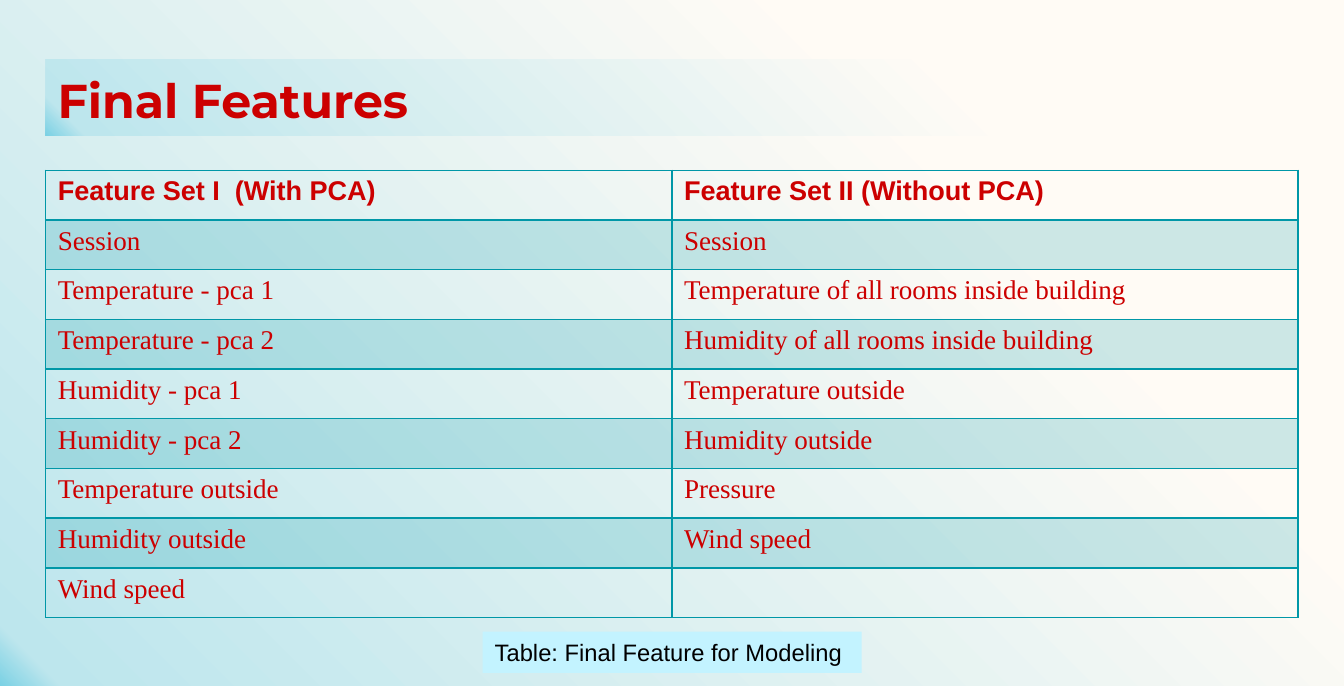
import copy
from dataclasses import dataclass

import pptx
import pptx.dml.color
import pptx.dml.fill
import pptx.enum.shapes
import pptx.enum.text
import pptx.oxml
import pptx.oxml.ns
import pptx.util
from lxml import etree

WIDTH, HEIGHT = pptx.util.Inches(11.02), pptx.util.Pt(405)
COLUMN, ROW = WIDTH / 58, HEIGHT / 56

COLORS = {
    "cream": "FFFBF5",
    "pale": "BDE6ED",
    "sky": "7BD1E4",
    "red": "CC0000",
    "teal": "0097A7",
    "caption": "C3F3FF",
    "black": "000000",
}
GRADIENT = ((0.27, "cream"), (0.97, "pale"), (1.0, "sky"))
BAND_OPACITY = 20

FEATURES = (
    ("Feature Set I  (With PCA)", "Feature Set II (Without PCA)"),
    ("Session", "Session"),
    ("Temperature - pca 1", "Temperature of all rooms inside building"),
    ("Temperature - pca 2", "Humidity of all rooms inside building"),
    ("Humidity - pca 1", "Temperature outside"),
    ("Humidity - pca 2", "Humidity outside"),
    ("Temperature outside", "Pressure"),
    ("Humidity outside", "Wind speed"),
    ("Wind speed", ""),
)


@dataclass(frozen=True)
class Area:
    """A place on the slide, in grid columns and rows."""
    left: float
    top: float
    across: float
    down: float

    def box(self) -> tuple[int, int, int, int]:
        return (round(self.left * COLUMN), round(self.top * ROW),
                round(self.across * COLUMN), round(self.down * ROW))


@dataclass(frozen=True)
class Lettering:
    name: str
    size: int
    color: str
    bold: bool = False


TITLE = Lettering("Montserrat", 28, "red", True)
HEADING = Lettering("Arial", 16, "red", True)
FEATURE = Lettering("Times New Roman", 16, "red")
CAPTION = Lettering("Arial", 14, "black")


def rgb(color: str) -> pptx.dml.color.RGBColor:
    return pptx.dml.color.RGBColor.from_string(COLORS[color])


def write(frame, words: str, lettering: Lettering):
    paragraph = frame.paragraphs[0]
    run = paragraph.add_run()
    run.text = words
    formats = {"name": lettering.name, "size": pptx.util.Pt(lettering.size),
               "bold": lettering.bold}
    for attribute, value in formats.items():
        setattr(run.font, attribute, value)
    run.font.color.rgb = rgb(lettering.color)
    return paragraph


def paint_gradient(fill: pptx.dml.fill.FillFormat, owner) -> None:
    """Fill from cream at the top right to sky at the bottom left."""
    fill.gradient()
    fill.gradient_angle = 225
    stops = owner.find(".//" + pptx.oxml.ns.qn("a:gsLst"))
    stops.append(copy.deepcopy(stops[-1]))
    for stop, (position, color) in zip(fill.gradient_stops, GRADIENT):
        stop.position = position
        stop.color.rgb = rgb(color)


def draw_title(slide, area: Area) -> None:
    banner = slide.shapes.add_shape(
        pptx.enum.shapes.MSO_SHAPE.RECTANGLE, *area.box())
    banner.shadow.inherit = False
    banner.line.fill.background()
    paint_gradient(banner.fill, banner.element)
    frame = banner.text_frame
    for side in ("left", "top", "right", "bottom"):
        setattr(frame, f"margin_{side}", pptx.util.Inches(0.1))
    frame.vertical_anchor = pptx.enum.text.MSO_ANCHOR.TOP
    frame.word_wrap = True
    paragraph = write(frame, "Final Features", TITLE)
    paragraph.alignment = pptx.enum.text.PP_ALIGN.LEFT


def add_borders(cell) -> None:
    properties = cell._tc.get_or_add_tcPr()
    for index, edge in enumerate(("lnL", "lnR", "lnT", "lnB")):
        properties.insert(index, pptx.oxml.parse_xml(
            f'<a:{edge} {pptx.oxml.ns.nsdecls("a")} w="{pptx.util.Pt(1)}">'
            f'<a:solidFill><a:srgbClr val="{COLORS["teal"]}"/></a:solidFill>'
            f'</a:{edge}>'))


def shade(cell, banded: bool) -> None:
    if not banded:
        cell.fill.background()
        return
    cell.fill.solid()
    cell.fill.fore_color.rgb = rgb("teal")
    qn = pptx.oxml.ns.qn
    tint = cell._tc.tcPr.find(f"{qn('a:solidFill')}/{qn('a:srgbClr')}")
    etree.SubElement(tint, qn("a:alpha"), val=str(BAND_OPACITY * 1000))


def draw_features(slide, area: Area) -> None:
    table = slide.shapes.add_table(
        len(FEATURES), len(FEATURES[0]), *area.box()).table
    for banding in ("first_row", "horz_banding"):
        setattr(table, banding, False)
    for row, features in enumerate(FEATURES):
        for column, feature in enumerate(features):
            cell = table.cell(row, column)
            shade(cell, banded=row % 2 == 1)
            add_borders(cell)
            if feature:
                paragraph = write(cell.text_frame, feature,
                                  FEATURE if row else HEADING)
                if row:
                    paragraph.alignment = pptx.enum.text.PP_ALIGN.JUSTIFY


def draw_caption(slide, area: Area) -> None:
    caption = slide.shapes.add_textbox(*area.box())
    caption.fill.solid()
    caption.fill.fore_color.rgb = rgb("caption")
    frame = caption.text_frame
    frame.word_wrap = True
    frame.auto_size = pptx.enum.text.MSO_AUTO_SIZE.SHAPE_TO_FIT_TEXT
    write(frame, "Table: Final Feature for Modeling", CAPTION)


def main() -> None:
    deck = pptx.Presentation()
    deck.slide_width, deck.slide_height = WIDTH, HEIGHT
    slide = deck.slides.add_slide(deck.slide_layouts[6])
    paint_gradient(slide.background.fill, slide.element)
    draw_title(slide, Area(1.97, 4.83, 54.05, 6.25))
    draw_features(slide, Area(1.97, 13.9, 54.05, 36.54))
    draw_caption(slide, Area(20.83, 51.57, 16.35, 3.38))
    deck.save("out.pptx")


if __name__ == "__main__":
    main()
